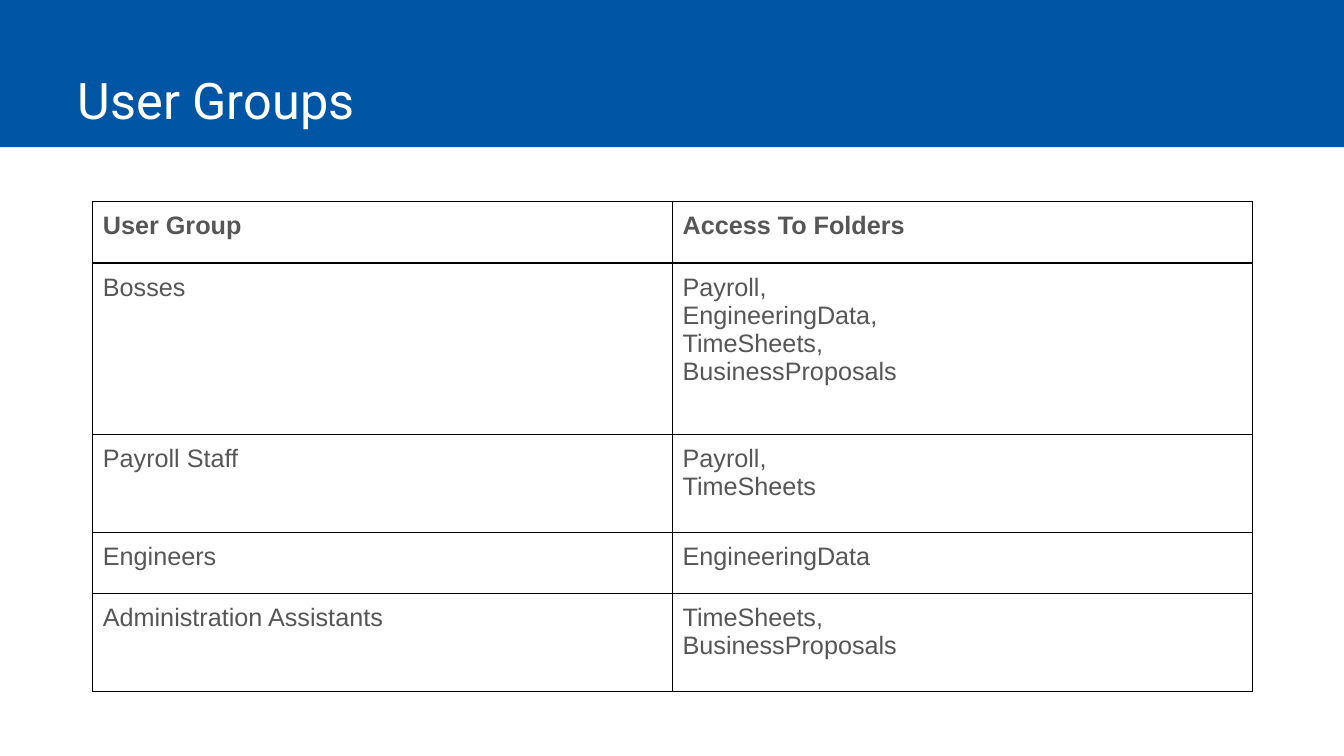
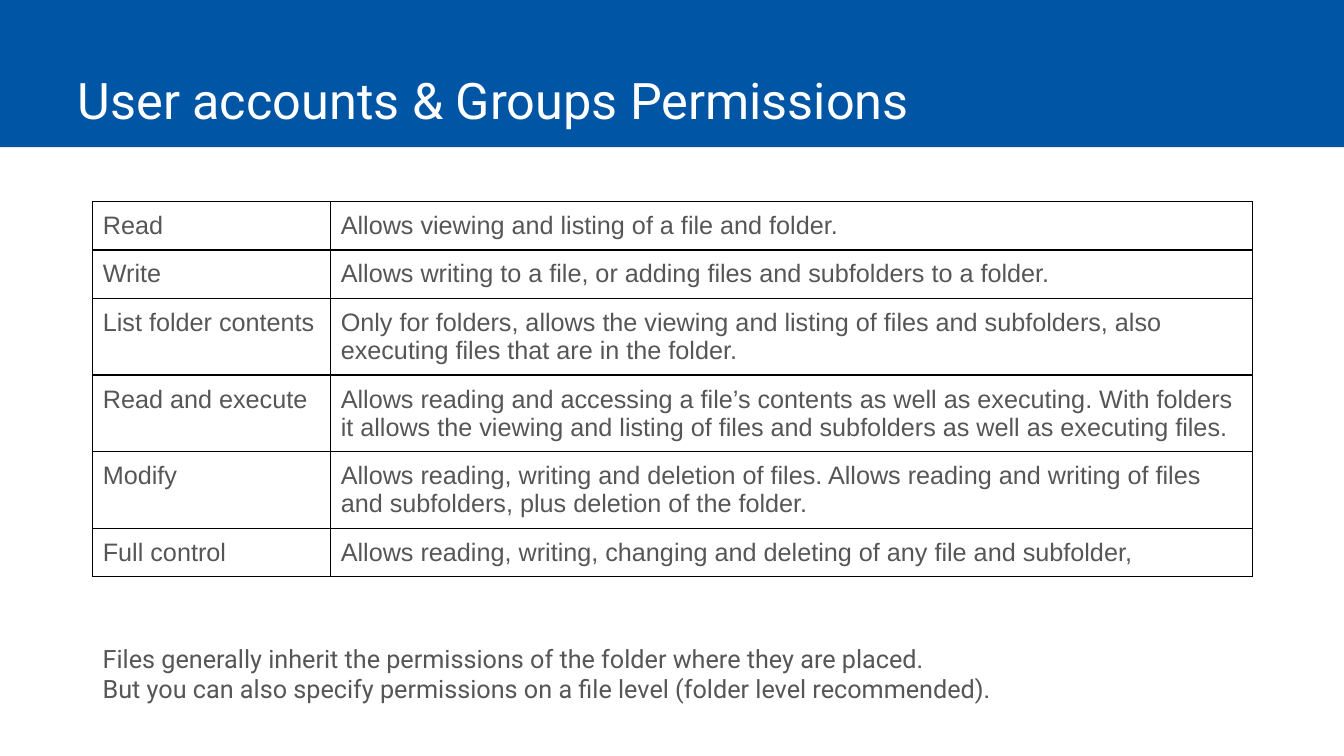
import pptx
import pptx.util
from lxml import etree
from pptx.dml.color import RGBColor
from pptx.enum.shapes import MSO_SHAPE
from pptx.enum.text import MSO_ANCHOR, MSO_AUTO_SIZE, PP_ALIGN
from pptx.oxml.ns import qn
from pptx.util import Inches

# Shared style
BLUE = RGBColor(0x00, 0x55, 0xA4)
WHITE = RGBColor(0xFF, 0xFF, 0xFF)
GRAY = RGBColor(0x56, 0x56, 0x56)
BLACK = RGBColor(0x00, 0x00, 0x00)
TITLE_FONT = "Roboto"
TABLE_FONT = "Arial"
BODY_SIZE = 18
TABLE_LEFT, TABLE_TOP = 0.92, 2
CELL_MARGIN = 0.1

# Content: row heights and column widths are in inches
SLIDES = [
    {
        "title": "User Groups",
        "header": True,
        "columns": [5.75, 5.75],
        "rows": [
            (0.61, "User Group", "Access To Folders"),
            (1.7, "Bosses", "Payroll,\nEngineeringData,\nTimeSheets,\nBusinessProposals"),
            (0.97, "Payroll Staff", "Payroll,\nTimeSheets"),
            (0.61, "Engineers", "EngineeringData"),
            (0.97, "Administration Assistants", "TimeSheets,\nBusinessProposals"),
        ],
    },
    {
        "title": "User accounts & Groups Permissions",
        "header": False,
        "columns": [2.36, 9.14],
        "rows": [
            (0.48, "Read", "Allows viewing and listing of a file and folder."),
            (0.48, "Write", "Allows writing to a file, or adding files and subfolders to a folder."),
            (0.76, "List folder contents",
             "Only for folders, allows the viewing and listing of files and subfolders, "
             "also executing files that are in the folder."),
            (0.76, "Read and execute",
             "Allows reading and accessing a file’s contents as well as executing. "
             "With folders it allows the viewing and listing of files and subfolders "
             "as well as executing files."),
            (0.76, "Modify",
             "Allows reading, writing and deletion of files. Allows reading and writing "
             "of files and subfolders, plus deletion of the folder."),
            (0.48, "Full control",
             "Allows reading, writing, changing and deleting of any file and subfolder,"),
        ],
        "note": "Files generally inherit the permissions of the folder where they are placed.\n"
                "But you can also specify permissions on a file level (folder level recommended).",
    },
]


def write_text(text_frame, text, font_name, size, color, bold=False):
    paragraph = text_frame.paragraphs[0]
    paragraph.text = text
    paragraph.alignment = PP_ALIGN.LEFT
    font = paragraph.font
    font.name, font.size, font.bold = font_name, pptx.util.Pt(size), bold
    font.color.rgb = color


def prepare_layout(layout, slide):
    """Place the title and put the blue band behind it on the layout."""
    title = layout.placeholders[0]
    title.left, title.top = Inches(0.67), Inches(0)
    title.width, title.height = Inches(11.75), Inches(1.34)
    band = slide.shapes.add_shape(
        MSO_SHAPE.RECTANGLE, Inches(0), Inches(0), Inches(13.33), Inches(1.46))
    band.shadow.inherit = False
    band.fill.solid()
    band.fill.fore_color.rgb = BLUE
    band.line.fill.background()
    title.element.addprevious(band.element)


def add_title(slide, text):
    text_frame = slide.shapes.title.text_frame
    text_frame.auto_size = MSO_AUTO_SIZE.NONE
    text_frame.vertical_anchor = MSO_ANCHOR.BOTTOM
    write_text(text_frame, text, TITLE_FONT, 36, WHITE)


def add_borders(cell):
    properties = cell._tc.get_or_add_tcPr()
    for side in ("a:lnL", "a:lnR", "a:lnT", "a:lnB"):
        line = etree.SubElement(properties, qn(side), w=str(pptx.util.Pt(1)))
        fill = etree.SubElement(line, qn("a:solidFill"))
        etree.SubElement(fill, qn("a:srgbClr"), val=str(BLACK))


def add_table(slide, columns, rows, header):
    heights = [row[0] for row in rows]
    table = slide.shapes.add_table(
        len(rows), len(columns), Inches(TABLE_LEFT), Inches(TABLE_TOP),
        Inches(sum(columns)), Inches(sum(heights))).table
    table.first_row = header
    table.horz_banding = False
    for column, width in zip(table.columns, columns):
        column.width = Inches(width)
    for row_index, (height, *texts) in enumerate(rows):
        table.rows[row_index].height = Inches(height)
        for column_index, text in enumerate(texts):
            cell = table.cell(row_index, column_index)
            cell.margin_left = cell.margin_right = Inches(CELL_MARGIN)
            cell.margin_top = cell.margin_bottom = Inches(CELL_MARGIN)
            add_borders(cell)
            cell.fill.background()
            write_text(cell.text_frame, text, TABLE_FONT, BODY_SIZE, GRAY,
                       bold=header and row_index == 0)


def add_note(slide, text):
    box = slide.shapes.add_textbox(
        Inches(TABLE_LEFT), Inches(6.33), Inches(11.5), Inches(0.71))
    box.text_frame.word_wrap = True
    box.text_frame.auto_size = MSO_AUTO_SIZE.SHAPE_TO_FIT_TEXT
    write_text(box.text_frame, text, TITLE_FONT, BODY_SIZE, GRAY)


def main():
    presentation = pptx.Presentation()
    presentation.slide_width = Inches(13.33)
    presentation.slide_height = Inches(7.5)
    layout = presentation.slide_layouts.get_by_name("Title Only")
    for index, content in enumerate(SLIDES):
        slide = presentation.slides.add_slide(layout)
        if index == 0:
            prepare_layout(layout, slide)
        add_title(slide, content["title"])
        add_table(slide, content["columns"], content["rows"], content["header"])
        if "note" in content:
            add_note(slide, content["note"])
    presentation.save("out.pptx")


if __name__ == "__main__":
    main()
